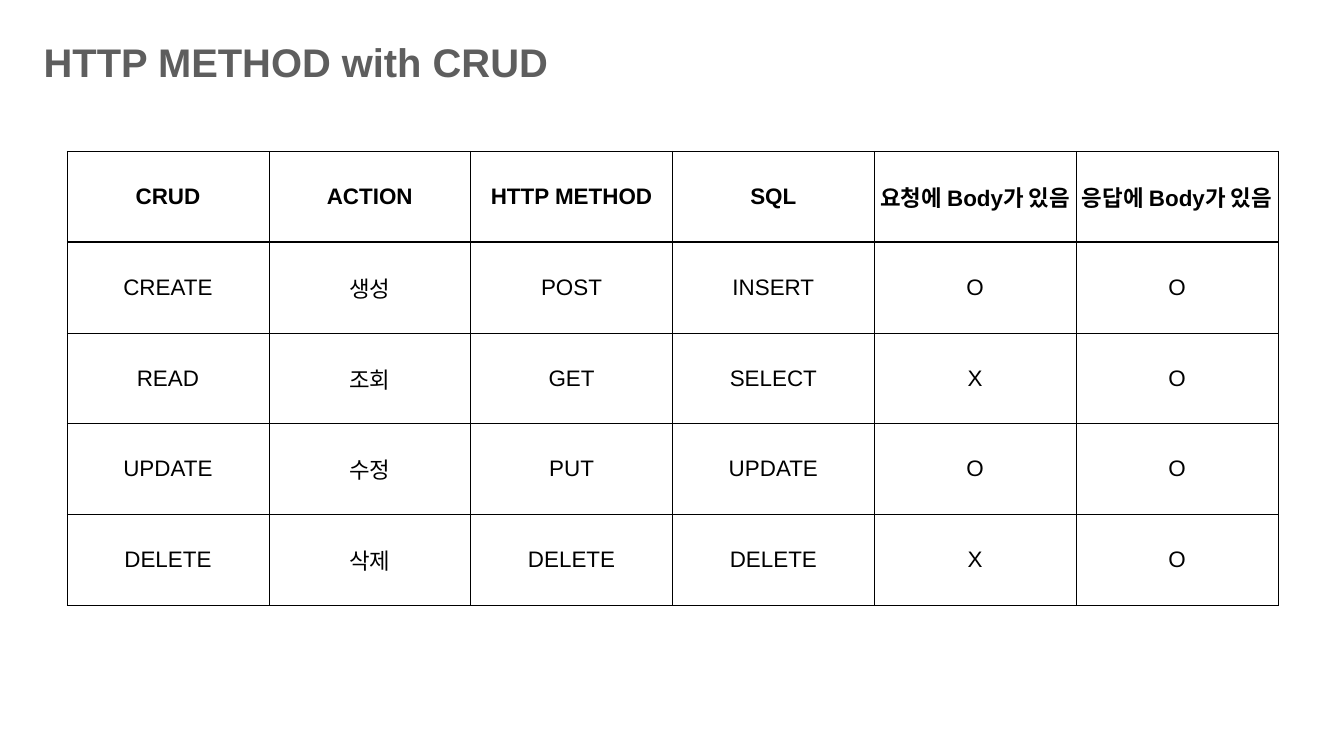
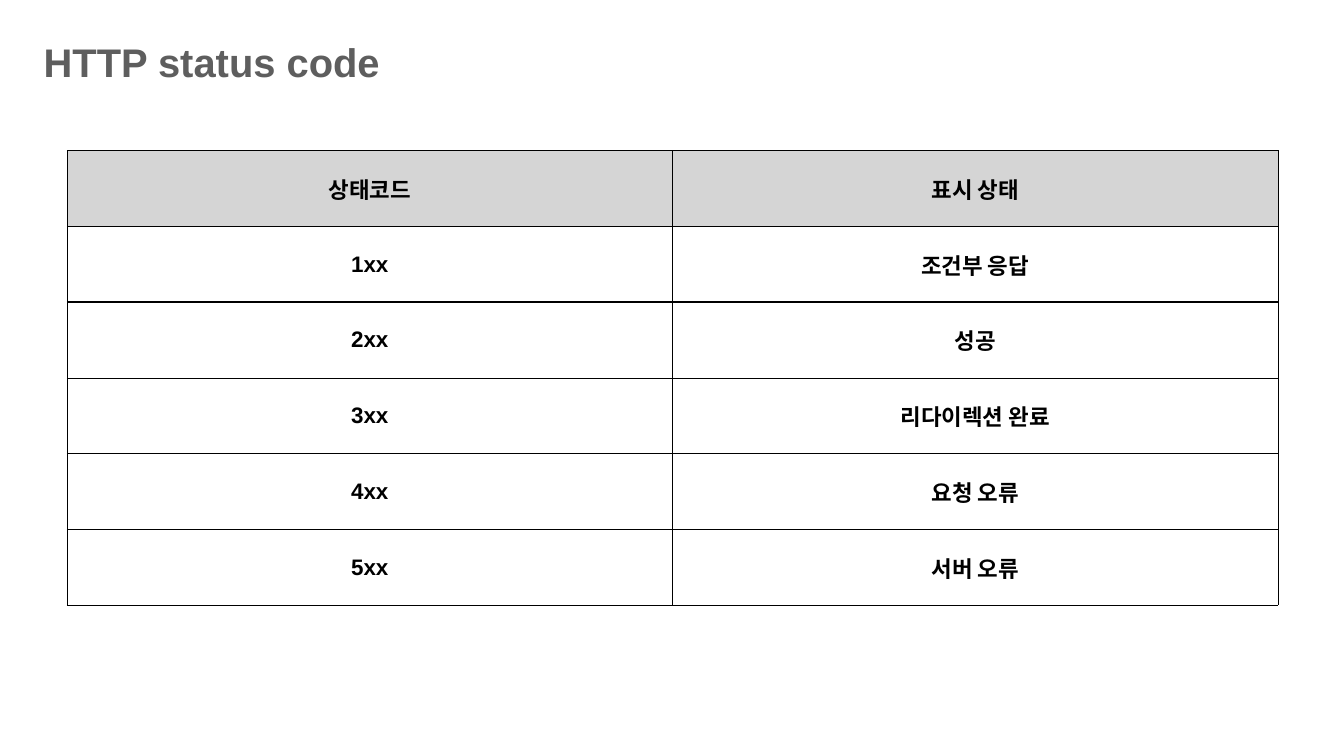
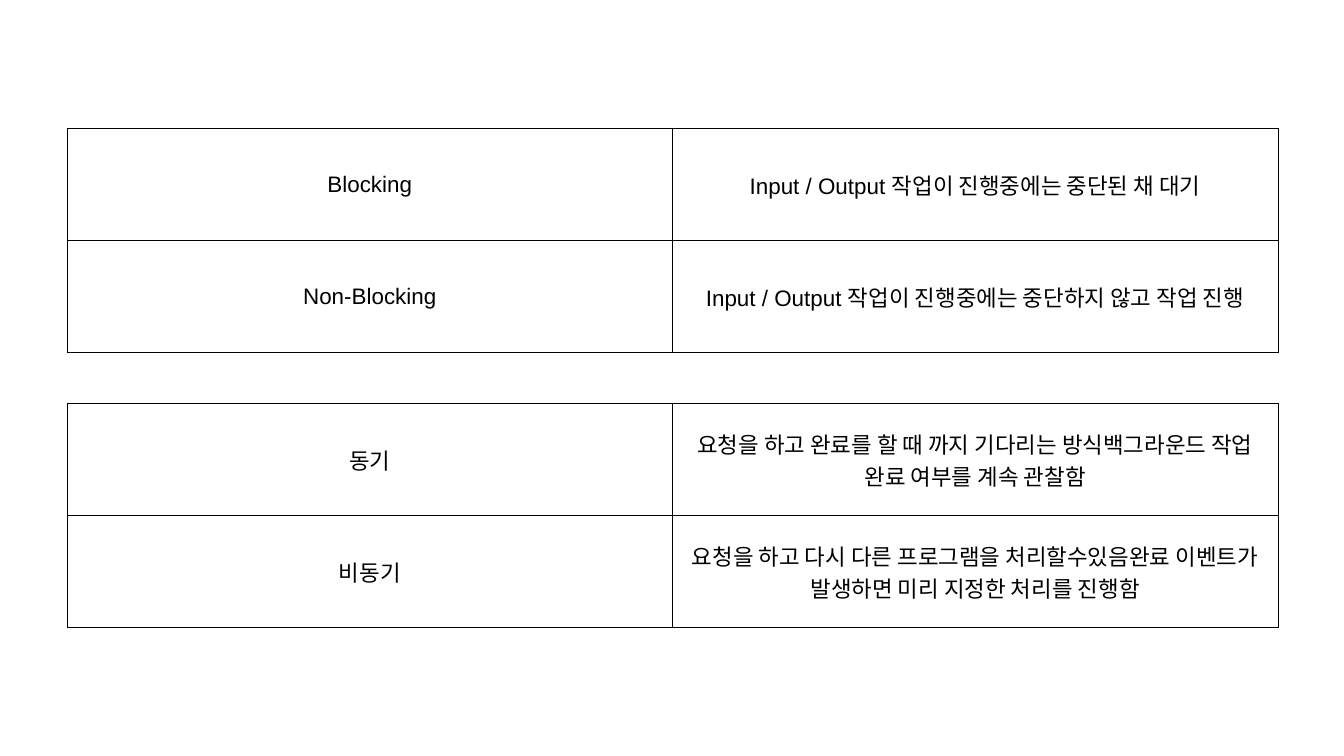
from pptx import Presentation
from pptx.dml.color import RGBColor
from pptx.enum import text as t
from pptx.oxml import parse_xml
from pptx.oxml.ns import nsdecls
from pptx.util import Pt

HUES = {"title": "5E5E5E", "ink": "000000", "head": "D5D5D5", "page": "FFFFFF"}
FONT = "Arial"
INSET = 4
LEFT, WIDTH = 95.8, 1729.8
THIN, THICK = 1, 3

CRUD = [
    ("CRUD", "ACTION", "HTTP METHOD", "SQL", "요청에 Body가 있음", "응답에 Body가 있음"),
    ("CREATE", "생성", "POST", "INSERT", "O", "O"),
    ("READ", "조회", "GET", "SELECT", "X", "O"),
    ("UPDATE", "수정", "PUT", "UPDATE", "O", "O"),
    ("DELETE", "삭제", "DELETE", "DELETE", "X", "O"),
]
CODES = [
    ("상태코드", "표시 상태"),
    ("1xx", "조건부 응답"),
    ("2xx", "성공"),
    ("3xx", "리다이렉션 완료"),
    ("4xx", "요청 오류"),
    ("5xx", "서버 오류"),
]
BLOCKS = [
    ("Blocking", "Input / Output 작업이 진행중에는 중단된 채 대기"),
    ("Non-Blocking", "Input / Output 작업이 진행중에는 중단하지 않고 작업 진행"),
]
SYNCS = [
    ("동기", "요청을 하고 완료를 할 때 까지 기다리는 방식백그라운드 작업 완료 여부를 계속 관찰함"),
    ("비동기", "요청을 하고 다시 다른 프로그램을 처리할수있음완료 이벤트가 발생하면 미리 지정한 처리를 진행함"),
]


def color(name):
    return RGBColor.from_string(HUES[name])


def write(para, words, size, hue, bold, align):
    para.alignment = align
    run = para.add_run()
    run.text = words
    font = run.font
    font.name, font.size, font.bold = FONT, Pt(size), bold
    font.color.rgb = color(hue)


def pad(box):
    box.margin_left = box.margin_right = Pt(INSET)
    box.margin_top = box.margin_bottom = Pt(INSET)
    box.vertical_anchor = t.MSO_ANCHOR.MIDDLE


def start(deck, layout):
    slide = deck.slides.add_slide(deck.slide_layouts.get_by_name(layout))
    slide.background.fill.solid()
    slide.background.fill.fore_color.rgb = color("page")
    return slide


def head(slide, words, width):
    title = slide.shapes.title
    title.left, title.top = Pt(58.3), Pt(49.7)
    title.width, title.height = Pt(width), Pt(76.3)
    frame = title.text_frame
    pad(frame)
    frame.word_wrap = False
    frame.auto_size = t.MSO_AUTO_SIZE.SHAPE_TO_FIT_TEXT
    write(frame.paragraphs[0], words, 57, "title", True, t.PP_ALIGN.LEFT)


def edge(cell, side, weight):
    cell._tc.get_or_add_tcPr().append(parse_xml(
        f'<a:ln{side} {nsdecls("a")} w="{Pt(weight)}"><a:solidFill>'
        f'<a:srgbClr val="{HUES["ink"]}"/></a:solidFill></a:ln{side}>'))


def grid(slide, rows, top, step, bold=0, shade=0, under=None, split=None):
    count = len(rows[0])
    frame = slide.shapes.add_table(
        len(rows), count, Pt(LEFT), Pt(top), Pt(WIDTH), Pt(step * len(rows)))
    table = frame.table
    table.first_row = table.horz_banding = False
    for col in table.columns:
        col.width = Pt(WIDTH / count)
    for r, row in enumerate(rows):
        table.rows[r].height = Pt(step)
        for c, words in enumerate(row):
            cell = table.cell(r, c)
            pad(cell)
            write(cell.text_frame.paragraphs[0], words, 32, "ink",
                  r < bold, t.PP_ALIGN.CENTER)
            apart = split is not None and r >= split
            heavy = {"L": apart and c > 0, "R": apart and c < count - 1,
                     "T": under is not None and r == under + 1,
                     "B": r == under}
            for side, thick in heavy.items():
                edge(cell, side, THICK if thick else THIN)
            if r < shade:
                cell.fill.solid()
                cell.fill.fore_color.rgb = color("head")
            else:
                cell.fill.background()


def crud(deck):
    slide = start(deck, "Title Only")
    head(slide, "HTTP METHOD with CRUD", 757.4)
    grid(slide, CRUD, 215.9, 129.8, bold=1, under=0)


def codes(deck):
    slide = start(deck, "Title Only")
    head(slide, "HTTP status code", 509.8)
    grid(slide, CODES, 215.3, 108.2, bold=len(CODES), shade=1, under=1, split=2)


def modes(deck):
    slide = start(deck, "Blank")
    for rows, top in ((BLOCKS, 183.6), (SYNCS, 576.7)):
        grid(slide, rows, top, 160)


def main():
    deck = Presentation()
    deck.slide_width, deck.slide_height = Pt(1920), Pt(1080)
    for build in (crud, codes, modes):
        build(deck)
    deck.save("out.pptx")


if __name__ == "__main__":
    main()
